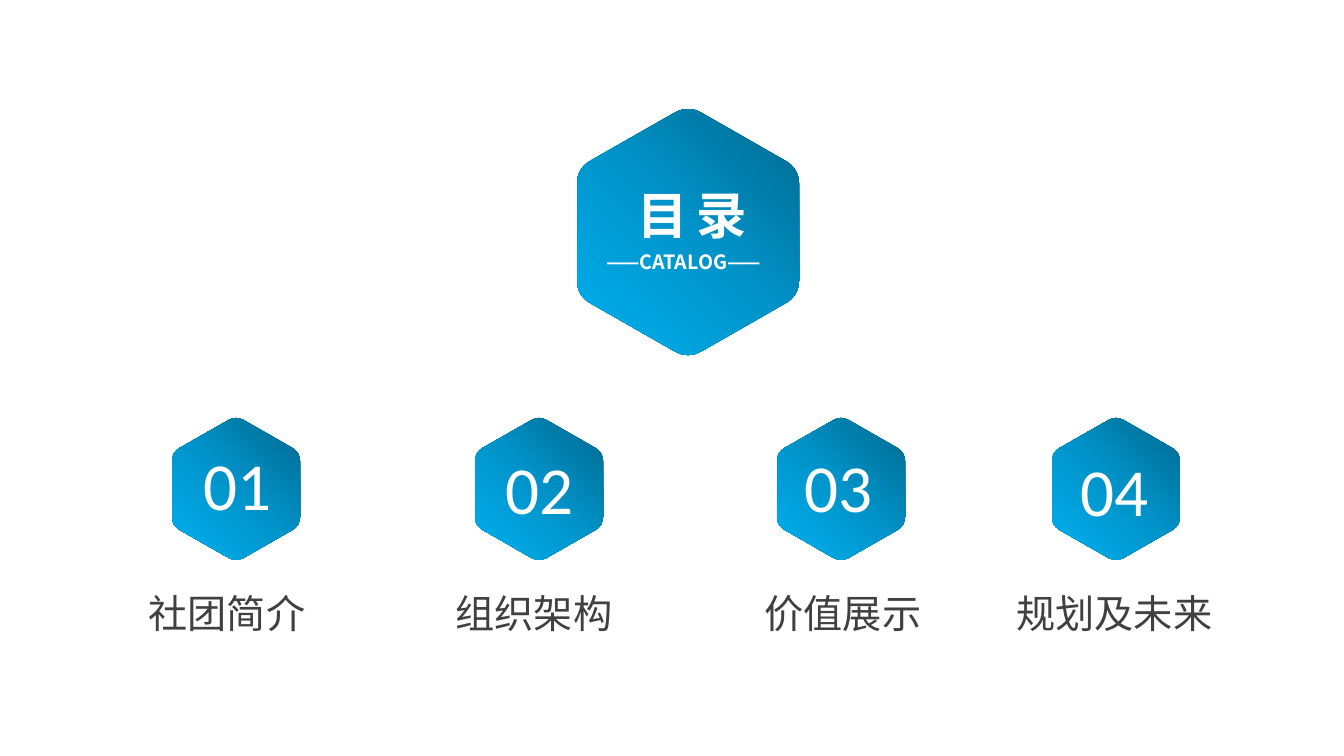
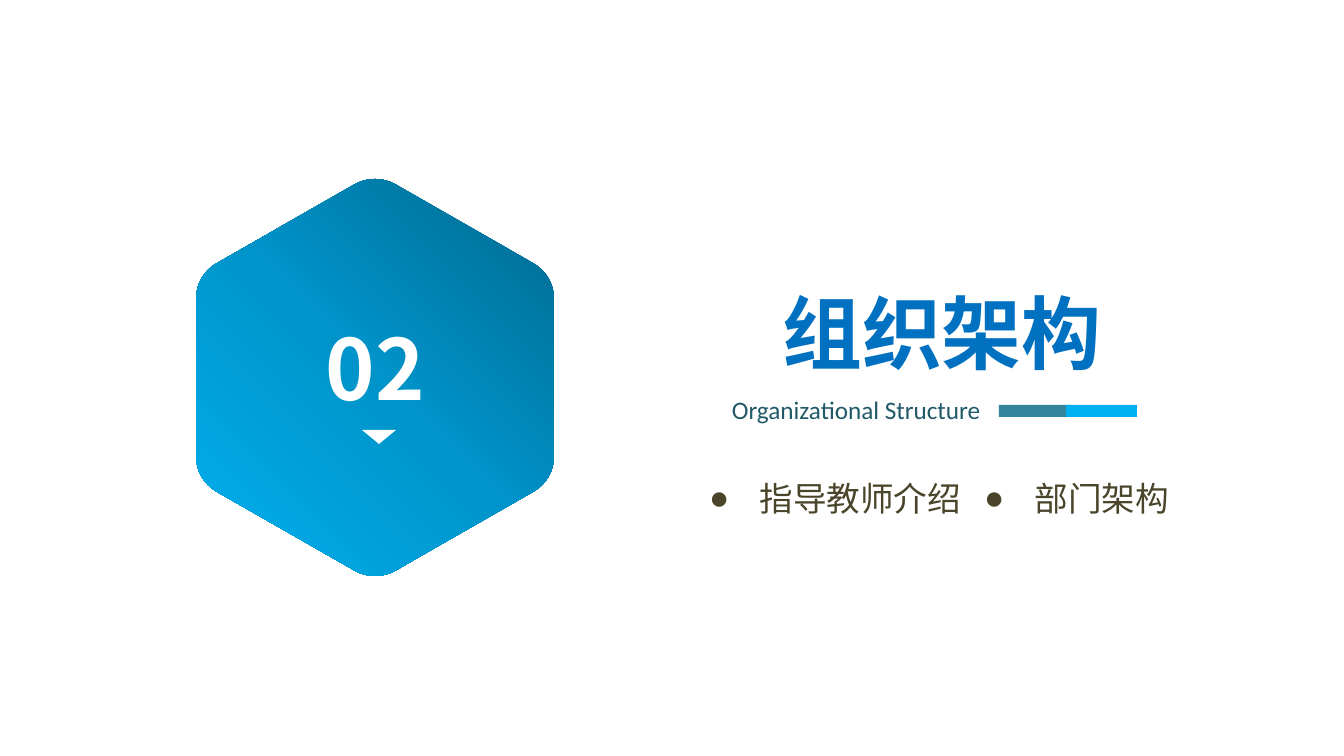
from copy import deepcopy
from math import cos, radians, sin, tan

from pptx import Presentation
from pptx.dml.color import RGBColor
from pptx.enum.shapes import MSO_SHAPE
from pptx.enum.text import MSO_ANCHOR, MSO_AUTO_SIZE, PP_ALIGN
from pptx.oxml.ns import qn
from pptx.oxml.xmlchemy import OxmlElement
from pptx.util import Pt

RECT, TRIANGLE = MSO_SHAPE.RECTANGLE, MSO_SHAPE.ISOSCELES_TRIANGLE
TOP, MIDDLE = MSO_ANCHOR.TOP, MSO_ANCHOR.MIDDLE
LEFT, CENTER = PP_ALIGN.LEFT, PP_ALIGN.CENTER
NO_FIT = MSO_AUTO_SIZE.NONE

SLIDE_W, SLIDE_H = 1344, 756
SCALE = 12192000 / SLIDE_W

WHITE = RGBColor(0xFF, 0xFF, 0xFF)
GRAY = RGBColor(0x40, 0x40, 0x40)
BLUE = RGBColor(0x00, 0x70, 0xC0)
SKY = RGBColor(0x00, 0xB0, 0xF0)
OCEAN = RGBColor(0x00, 0x94, 0xCA)
NAVY = RGBColor(0x00, 0x68, 0x8E)
TEAL = RGBColor(0x31, 0x85, 0x9C)
DEEP_TEAL = RGBColor(0x21, 0x59, 0x68)
OLIVE = RGBColor(0x4A, 0x45, 0x2A)
GRADIENT = [(0, NAVY), (0.5, OCEAN), (1, SKY)]

HAN, LATIN, DISPLAY = "Noto Sans CJK SC", "Calibri", "Montserrat"
CORNER = 0.23  # corner radius as a share of the hexagon's apothem


def px(n):
    """Turn pixels into EMU."""
    return round(n * SCALE)


def place(sp, x, y, w, h):
    """Move a shape to a pixel box."""
    sp.left, sp.top, sp.width, sp.height = px(x), px(y), px(w), px(h)


def write(sp, text, size, color, font=HAN, bold=False, align=CENTER,
          anchor=TOP, wrap=True, spacing=0):
    """Fill a shape with one formatted paragraph and return it."""
    tf = sp.text_frame
    tf.auto_size, tf.word_wrap, tf.vertical_anchor = NO_FIT, wrap, anchor
    p = tf.paragraphs[0]
    p.alignment, p.space_before = align, Pt(0)
    r = p.add_run()
    r.text = text
    r.font.size, r.font.bold, r.font.name = Pt(size), bold, font
    r.font.color.rgb = color
    rPr = r._r.get_or_add_rPr()
    ea = OxmlElement("a:ea")
    ea.set("typeface", HAN)
    rPr.append(ea)
    if spacing:
        rPr.set("spc", str(spacing * 100))
    return p


def label(slide, box, text, size, color, **fmt):
    """Add a text box with one line of text."""
    sp = slide.shapes.add_textbox(*map(px, box))
    write(sp, text, size, color, **fmt)


def block(slide, kind, box, color):
    """Add a plain filled shape without a line."""
    sp = slide.shapes.add_shape(kind, *map(px, box))
    sp.shadow.inherit = False
    sp.fill.solid()
    sp.fill.fore_color.rgb = color
    sp.line.fill.background()
    return sp


def corner_points(vertex, reach):
    """Return start, handles, middle and end of one rounded corner."""
    handle = 4 / 3 * tan(radians(7.5))
    points = []
    for turn, sides in ((-30, (0, 1)), (0, (-1, 0, 1)), (30, (-1, 0))):
        a = radians(vertex + turn)
        for side in sides:
            u = cos(a) - side * handle * sin(a)
            v = sin(a) + side * handle * cos(a)
            points.append((reach * cos(radians(vertex)) + CORNER * u,
                           reach * sin(radians(vertex)) + CORNER * v))
    return points


def curve_corners(sp):
    """Join the handles of each corner into two Bezier curves."""
    lines = list(sp._element.iter(qn("a:lnTo")))
    for first in range(0, len(lines), 7):
        for i in (first, first + 3):
            curve = OxmlElement("a:cubicBezTo")
            lines[i].addprevious(curve)
            for line in lines[i:i + 3]:
                curve.append(line[0])
                line.getparent().remove(line)


def hexagon(slide, x, y, w, h):
    """Add a rounded upright hexagon with the shared gradient."""
    reach = (1 - CORNER) / cos(radians(30))
    half = reach + CORNER
    # The outline lies on its side and is stood up by the rotation.
    outline = [(px(x + w / 2 + u / half * h / 2), px(y + h / 2 + v * w / 2))
               for vertex in range(0, 360, 60)
               for u, v in corner_points(vertex, reach)]
    builder = slide.shapes.build_freeform(*outline[0], scale=1.0)
    builder.add_line_segments(outline[1:], close=True)
    sp = builder.convert_to_shape()
    curve_corners(sp)
    sp.rotation = 90
    sp.shadow.inherit = False
    sp.line.fill.background()
    sp.fill.gradient()
    stops = sp._element.find(".//" + qn("a:gsLst"))
    stops.insert(1, deepcopy(stops[0]))
    for stop, (position, color) in zip(sp.fill.gradient_stops, GRADIENT):
        stop.position, stop.color.rgb = position, color
    sp.fill.gradient_angle = 315


def catalog_badge(slide, x, y, w, h):
    """Draw the large hexagon holding the catalog title."""
    hexagon(slide, x, y, w, h)
    label(slide, (x - 119, y + 136, 451, 34), "——CATALOG——", 14, WHITE,
          bold=True)
    title = slide.shapes.title
    place(title, x + 5, y + 70, 220, 72)
    write(title, "目录", 36, WHITE, font=DISPLAY, bold=True, spacing=6)
    slide.shapes._spTree.append(title._element)


def catalog_item(slide, x, y, number, name, number_at, name_x, name_w):
    """Draw a small numbered hexagon with its name below."""
    hexagon(slide, x, y, 128, 142)
    dx, dy = number_at
    label(slide, (x + dx, y + dy, 143, 47), number, 48, WHITE, font=LATIN,
          anchor=MIDDLE)
    label(slide, (x + name_x, y + 166, name_w, 57), name, 28, GRAY,
          wrap=False)


def section_badge(slide, x, y, w, h, number):
    """Draw the section hexagon with its number and down marker."""
    hexagon(slide, x, y, w, h)
    label(slide, (x + 115, y + 133, 129, 112), number, 60, WHITE, bold=True)
    marker = block(slide, TRIANGLE, (x + 166, y + 251, 34, 14), WHITE)
    marker._element.spPr.find(qn("a:xfrm")).set("flipV", "1")


def section_heading(slide, x, y, w, h, title, subtitle):
    """Place the section title, its subtitle and the two-tone bar."""
    sp = slide.shapes.title
    place(sp, x, y, w, h)
    write(sp, title, 57, BLUE, bold=True)
    label(slide, (x + 11, y + 110, 277, 40), subtitle, 18, DEEP_TEAL,
          font=LATIN, align=LEFT, wrap=False)
    for dx, color in ((288, TEAL), (355, SKY)):
        block(slide, RECT, (x + dx, y + 126, 71, 12), color)


def section_topics(slide, x, y, h, topics):
    """Set topics side by side in the body placeholders."""
    bodies = list(slide.placeholders)[1:3]
    for sp, (text, w) in zip(bodies, topics):
        place(sp, x, y, w, h)
        p = write(sp, text, 24, OLIVE, align=LEFT, wrap=False)
        pPr = p._p.get_or_add_pPr()
        pPr.set("marL", "457200")
        pPr.set("indent", "-457200")
        bullet = OxmlElement("a:buChar")
        bullet.set("char", "●")
        pPr.append(bullet)
        x += w


def catalog_slide(prs):
    """Build the table of contents."""
    slide = prs.slides.add_slide(prs.slide_layouts[5])
    catalog_badge(slide, 577, 109, 222, 246)
    items = [(172, "社团简介", (-6, 42), -34, 178),
             (475, "组织架构", (-7, 46), -30, 178),
             (777, "价值展示", (-10, 44), -23, 178),
             (1052, "规划及未来", (-9, 48), -47, 219)]
    for i, (x, name, number_at, name_x, name_w) in enumerate(items, 1):
        catalog_item(slide, x, 418, f"{i:02}", name, number_at, name_x,
                     name_w)


def section_slide(prs):
    """Build the section opener."""
    slide = prs.slides.add_slide(prs.slide_layouts[3])
    section_heading(slide, 711, 279, 462, 107, "组织架构",
                    "Organizational Structure")
    section_topics(slide, 699, 473, 50,
                   [("指导教师介绍", 275), ("部门架构", 207)])
    section_badge(slide, 196, 179, 358, 397, "02")


prs = Presentation()
prs.slide_width, prs.slide_height = px(SLIDE_W), px(SLIDE_H)
catalog_slide(prs)
section_slide(prs)
prs.save("out.pptx")
